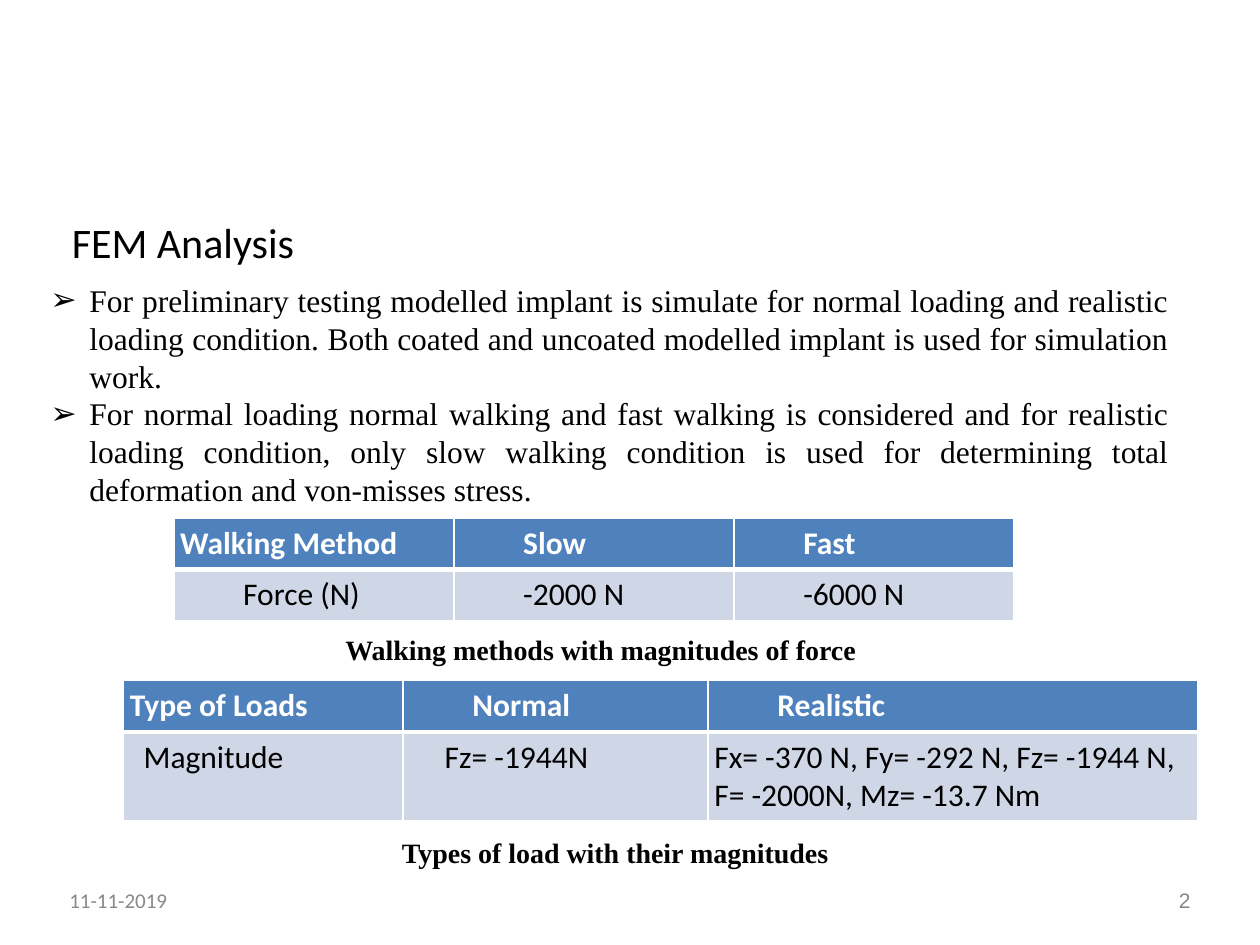
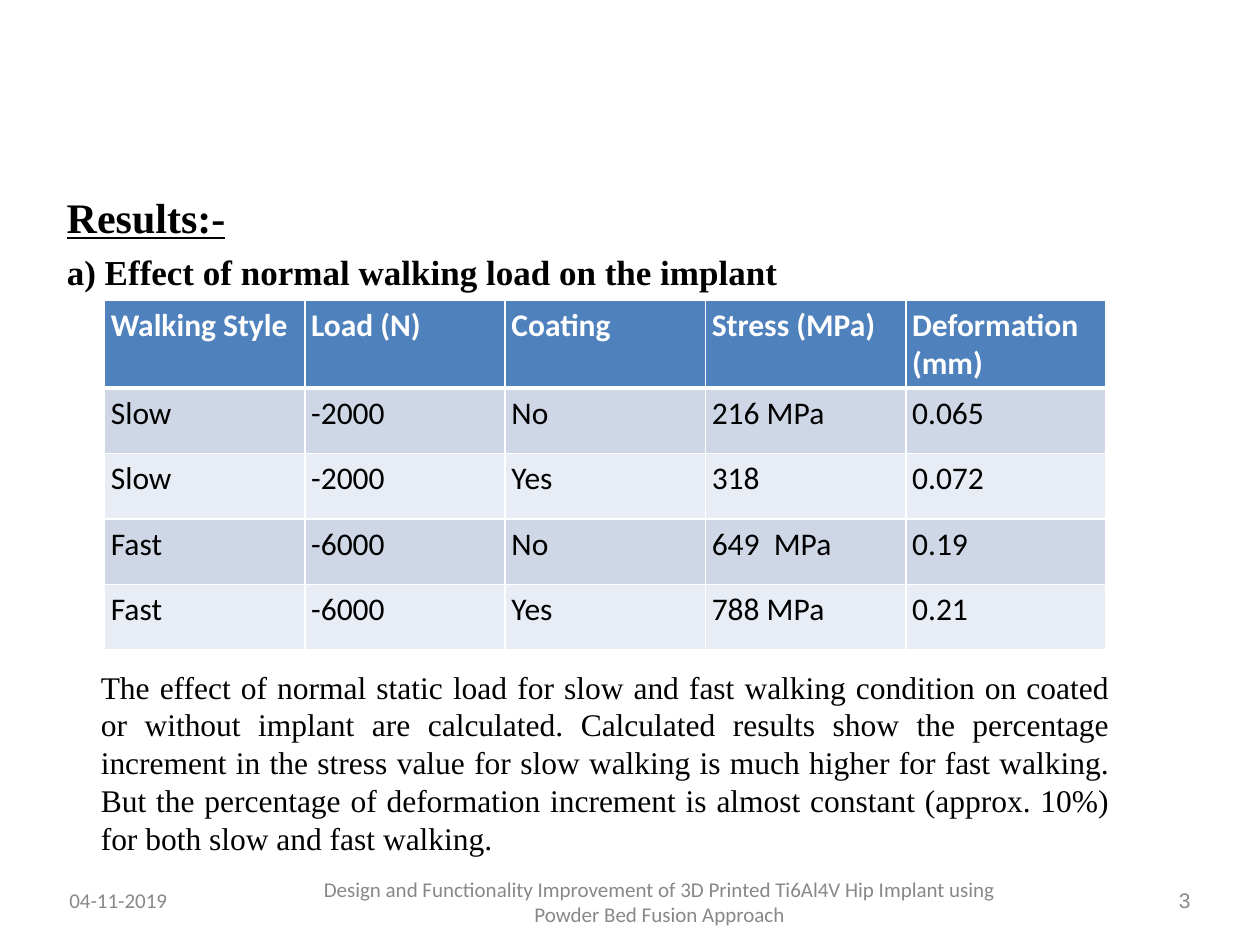
from dataclasses import dataclass

from lxml.etree import SubElement
from pptx import Presentation
from pptx.dml.color import RGBColor
from pptx.enum.text import MSO_ANCHOR, PP_ALIGN
from pptx.oxml.ns import qn
from pptx.util import Inches, Pt


@dataclass(frozen=True)
class Theme:
    sans: str = "Calibri"
    serif: str = "Times New Roman"
    number: str = "Arial"
    ink: str = "000000"
    muted: str = "888888"
    white: str = "FFFFFF"
    header: str = "4F81BD"
    bands: tuple = ("CFD7E7", "E8ECF4")
    title: int = 24
    subtitle: int = 20
    body: int = 18
    caption: int = 16
    footer: int = 12
    rule: int = 1
    header_rule: int = 3


THEME = Theme()
WIDTH, HEIGHT = Inches(10), Inches(7.5)
PAD = Inches(0.05)
STEP = Inches(0.5)
HANG = Inches(0.31)
ROW = 5.47


def across(percent):
    return round(WIDTH * percent / 100)


def down(percent):
    return round(HEIGHT * percent / 100)


def add_run(p, text, size, font, color=THEME.ink, bold=False, underline=False):
    r = p.add_run()
    r.text = text
    r.font.size = Pt(size)
    r.font.name = font
    r.font.bold = bold
    r.font.underline = underline
    r.font.color.rgb = RGBColor.from_string(color)


def add_bullet(p):
    pPr = p._p.get_or_add_pPr()
    pPr.set("marL", str(HANG))
    pPr.set("indent", str(-HANG))
    SubElement(pPr, qn("a:buFont"), typeface=THEME.number)
    SubElement(pPr, qn("a:buChar"), char="➢")


def add_text(s, box, paragraphs, size, font, align=PP_ALIGN.LEFT, wrap=True,
             anchor=MSO_ANCHOR.TOP, bullets=False, before=0, **style):
    left, top, width, height = box
    tf = s.shapes.add_textbox(across(left), down(top), across(width), down(height)).text_frame
    tf.word_wrap = wrap
    tf.vertical_anchor = anchor
    tf.margin_left = tf.margin_right = tf.margin_top = tf.margin_bottom = PAD
    for i, text in enumerate(paragraphs):
        p = tf.add_paragraph() if i else tf.paragraphs[0]
        p.alignment = align
        if before:
            p.space_before = Pt(before)
        if bullets:
            add_bullet(p)
        add_run(p, text, size, font, **style)


def add_caption(s, box, text):
    add_text(s, box, [text], THEME.caption, THEME.serif, wrap=False, bold=True)


def add_footer(s, date, number, topic=None):
    style = dict(size=THEME.footer, anchor=MSO_ANCHOR.MIDDLE, color=THEME.muted)
    if topic:
        add_text(s, (23.2, 92.13, 58.3, 6.53), [topic], font=THEME.sans,
                 align=PP_ALIGN.CENTER, **style)
    add_text(s, (5, 93.33, 23.3, 3.87), [date], font=THEME.sans, **style)
    add_text(s, (93, 93.33, 2, 3.87), [number], font=THEME.number,
             align=PP_ALIGN.RIGHT, wrap=False, **style)


def add_borders(cell, bottom):
    tcPr = cell._tc.get_or_add_tcPr()
    for side in "LRTB":
        points = bottom if side == "B" else THEME.rule
        line = SubElement(tcPr, qn(f"a:ln{side}"), w=str(Pt(points)))
        fill = SubElement(line, qn("a:solidFill"))
        SubElement(fill, qn("a:srgbClr"), val=THEME.white)


def fill_cell(cell, text, row, indent, above):
    is_header = row == 0
    add_borders(cell, THEME.header_rule if is_header else THEME.rule)
    if row == 1:
        top = cell._tc.tcPr.find(qn("a:lnT"))
        top.set("w", str(Pt(above)))
    fill = THEME.header if is_header else THEME.bands[(row - 1) % 2]
    cell.fill.solid()
    cell.fill.fore_color.rgb = RGBColor.from_string(fill)
    cell.margin_left = cell.margin_right = cell.margin_top = cell.margin_bottom = PAD
    p = cell.text_frame.paragraphs[0]
    if indent:
        pPr = p._p.get_or_add_pPr()
        pPr.set("marL", "0")
        pPr.set("indent", str(indent))
    add_run(p, text, THEME.body, THEME.sans,
            THEME.white if is_header else THEME.ink, bold=is_header)


def add_grid(s, left, top, widths, heights, rows, indents=None):
    frame = s.shapes.add_table(len(rows), len(widths), across(left), down(top),
                               across(sum(widths)), down(sum(heights)))
    table = frame.table
    for column, width in zip(table.columns, widths):
        column.width = across(width)
    for row, height in zip(table.rows, heights):
        row.height = down(height)
    for i, texts in enumerate(rows):
        for j, text in enumerate(texts):
            indent = indents[i][j] if indents else 0
            fill_cell(table.cell(i, j), text, i, indent, THEME.header_rule)


def add_fem_analysis(prs):
    s = prs.slides.add_slide(prs.slide_layouts[6])
    add_footer(s, "11-11-2019", "2")
    add_text(s, (5.2, 22.27, 27.4, 6.53), ["FEM Analysis"], THEME.title, THEME.sans)
    add_text(s, (3.5, 29.07, 89.8, 24.53), [
        "For preliminary testing modelled implant is simulate for normal loading and realistic "
        "loading condition. Both coated and uncoated modelled implant is used for simulation work.",
        "For normal loading normal walking and fast walking is considered and for realistic "
        "loading condition, only slow walking condition is used for determining total "
        "deformation and von-misses stress.",
    ], THEME.body, THEME.serif, PP_ALIGN.JUSTIFY, bullets=True)
    add_grid(s, 13.8, 54.8, [22.23] * 3, [ROW] * 2, [
        ("Walking Method", "Slow", "Fast"),
        ("Force (N)", "-2000 N", "-6000 N"),
    ], [(0, STEP, STEP), (STEP, STEP, STEP)])
    add_caption(s, (26.9, 66.27, 41.8, 4.53), "Walking methods with magnitudes of force")
    add_grid(s, 9.8, 72, [22.2, 24.2, 38.9], [ROW, 9.07], [
        ("Type of Loads", "Normal", "Realistic"),
        ("Magnitude", "Fz= -1944N",
         "Fx= -370 N, Fy= -292 N, Fz= -1944 N, F= -2000N, Mz= -13.7 Nm"),
    ], [(0, STEP, STEP), (Inches(0.11), Inches(0.28), 0)])
    add_caption(s, (31.4, 87.73, 35.1, 4.53), "Types of load with their magnitudes")


def add_results(prs):
    s = prs.slides.add_slide(prs.slide_layouts[6])
    add_footer(s, "04-11-2019", "3",
               "Design and Functionality Improvement of 3D Printed Ti6Al4V Hip Implant "
               "using Powder Bed Fusion Approach")
    add_text(s, (4.8, 19.6, 13.7, 6.13), ["Results:-"], THEME.title, THEME.serif,
             wrap=False, bold=True, underline=True)
    add_text(s, (4.8, 25.87, 57.5, 5.47), ["a) Effect of normal walking load on the implant"],
             THEME.subtitle, THEME.serif, wrap=False, bold=True)
    add_grid(s, 8.3, 31.73, [15.9] * 5, [9.07] + [6.93] * 4, [
        ("Walking Style", "Load (N)", "Coating", "Stress (MPa)", "Deformation (mm)"),
        ("Slow", "-2000", "No", "216 MPa", "0.065"),
        ("Slow", "-2000", "Yes", "318", "0.072"),
        ("Fast", "-6000", "No", "649  MPa", "0.19"),
        ("Fast", "-6000", "Yes", "788 MPa", "0.21"),
    ])
    add_text(s, (7.5, 70, 81.1, 20.67), [
        "The effect of normal static load for slow and fast walking condition on coated or "
        "without implant are calculated. Calculated results show the percentage increment in "
        "the stress value for slow walking is much higher for fast walking. But the percentage "
        "of deformation increment is almost constant (approx. 10%) for both slow and fast walking.",
    ], THEME.body, THEME.serif, PP_ALIGN.JUSTIFY, before=8)


def main():
    prs = Presentation()
    prs.slide_width, prs.slide_height = WIDTH, HEIGHT
    add_fem_analysis(prs)
    add_results(prs)
    prs.save("out.pptx")


if __name__ == "__main__":
    main()
